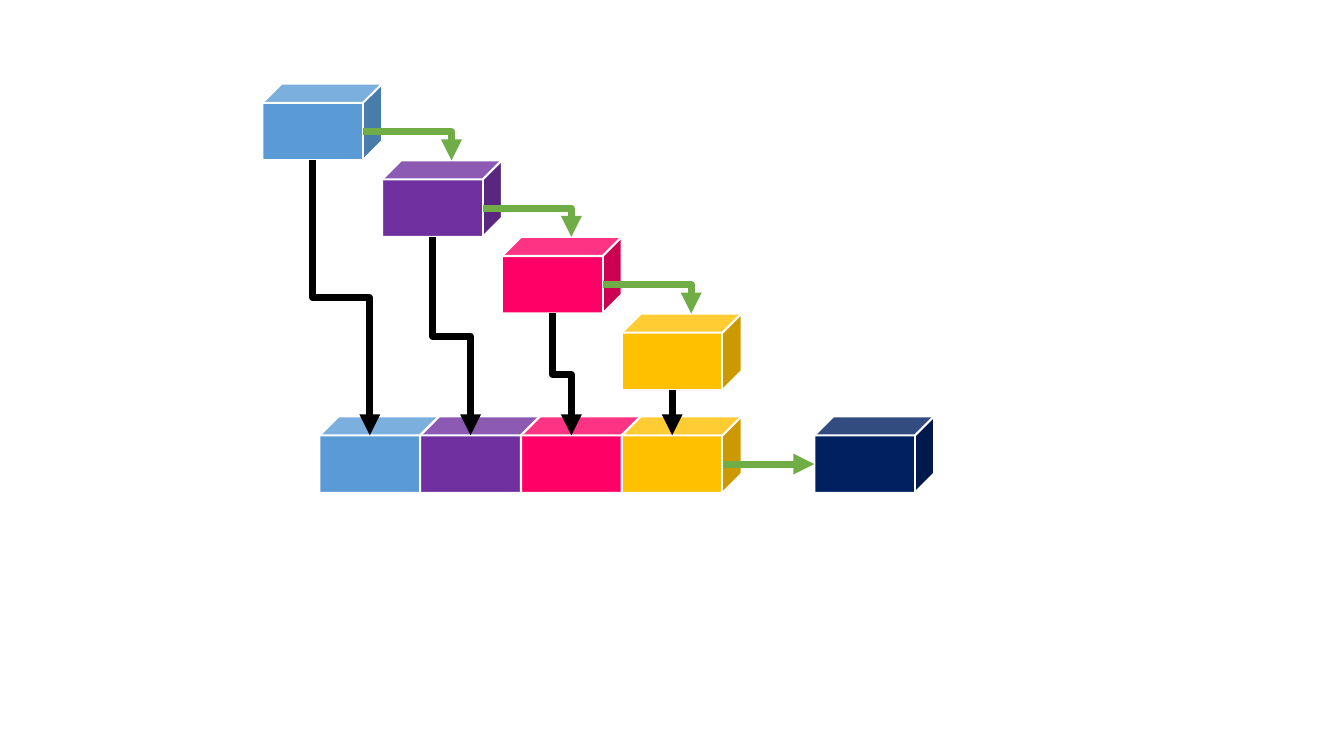
"""Build a slide where four cascading cubes feed a row of cubes and one result cube."""
from lxml import etree
from pptx import Presentation
from pptx.dml.color import RGBColor
from pptx.enum.shapes import MSO_CONNECTOR as Connector, MSO_SHAPE as Shape
from pptx.oxml.ns import qn
from pptx.util import Cm, Pt

COLOURS = {
    "blue": "5B9BD5",
    "purple": "7030A0",
    "pink": "FF0066",
    "yellow": "FFC000",
    "navy": "002060",
    "green": "70AD47",
    "black": "000000",
    "white": "FFFFFF",
}
STAGES = ["blue", "purple", "pink", "yellow"]

WIDTH, HEIGHT, DEPTH = 3.02, 1.93, 0.48
FRONT_WIDTH = WIDTH - DEPTH
FRONT_MIDDLE = (HEIGHT + DEPTH) / 2
TOP_CENTRE = (WIDTH + DEPTH) / 2
CASCADE_LEFT, CASCADE_TOP = 6.61, 2.11
LAST_LEFT = CASCADE_LEFT + (len(STAGES) - 1) * WIDTH
ROW_LEFT = LAST_LEFT - (len(STAGES) - 1) * FRONT_WIDTH
ROW_TOP = 10.49
RESULT_LEFT = 20.52

presentation = Presentation()
presentation.slide_width, presentation.slide_height = Cm(33.87), Cm(19.05)
slide = presentation.slides.add_slide(presentation.slide_layouts[6])


def add_cube(left, top, colour):
    cube = slide.shapes.add_shape(Shape.CUBE, Cm(left), Cm(top), Cm(WIDTH), Cm(HEIGHT))
    cube.shadow.inherit = False
    cube.fill.solid()
    cube.fill.fore_color.rgb = RGBColor.from_string(COLOURS[colour])
    cube.line.color.rgb = RGBColor.from_string(COLOURS["white"])
    cube.line.width = Pt(1.5)


def add_arrow(kind, start, end, colour):
    arrow = slide.shapes.add_connector(kind, *[Cm(value) for value in (*start, *end)])
    arrow.line.color.rgb = RGBColor.from_string(COLOURS[colour])
    arrow.line.width = Pt(5)
    properties = arrow._element.spPr
    etree.SubElement(properties.find(qn("a:ln")), qn("a:tailEnd"), type="triangle")
    etree.SubElement(properties, qn("a:effectLst"))
    return properties


cascade = [
    (CASCADE_LEFT + index * WIDTH, CASCADE_TOP + index * HEIGHT)
    for index in range(len(STAGES))
]
row = [ROW_LEFT + index * FRONT_WIDTH for index in range(len(STAGES))]

for (left, top), colour in zip(cascade, STAGES):
    add_cube(left, top, colour)

for (left, top), (next_left, next_top) in zip(cascade, cascade[1:]):
    start = (left + FRONT_WIDTH, top + FRONT_MIDDLE)
    end = (next_left + TOP_CENTRE, next_top)
    properties = add_arrow(Connector.ELBOW, start, end, "green")
    properties.find(qn("a:prstGeom")).set("prst", "bentConnector2")

for left, colour in zip(row, STAGES):
    add_cube(left, ROW_TOP, colour)

for (left, top), row_left in zip(cascade[:-1], row):
    start_x, start_y = left + FRONT_WIDTH / 2, top + HEIGHT
    end_x, end_y = row_left + FRONT_WIDTH / 2, ROW_TOP + DEPTH
    middle_x, middle_y = (start_x + end_x) / 2, (start_y + end_y) / 2
    half_run, half_drop = (end_x - start_x) / 2, (end_y - start_y) / 2
    properties = add_arrow(
        Connector.ELBOW,
        (middle_x + half_drop, middle_y - half_run),
        (middle_x - half_drop, middle_y + half_run),
        "black",
    )
    properties.find(qn("a:xfrm")).set("rot", str(270 * 60000))

last_centre = LAST_LEFT + FRONT_WIDTH / 2
add_arrow(
    Connector.STRAIGHT,
    (last_centre, cascade[-1][1] + HEIGHT),
    (last_centre, ROW_TOP + DEPTH),
    "black",
)

add_cube(RESULT_LEFT, ROW_TOP, "navy")
row_middle = ROW_TOP + FRONT_MIDDLE
add_arrow(
    Connector.STRAIGHT,
    (LAST_LEFT + FRONT_WIDTH, row_middle),
    (RESULT_LEFT, row_middle),
    "green",
)

presentation.save("out.pptx")
